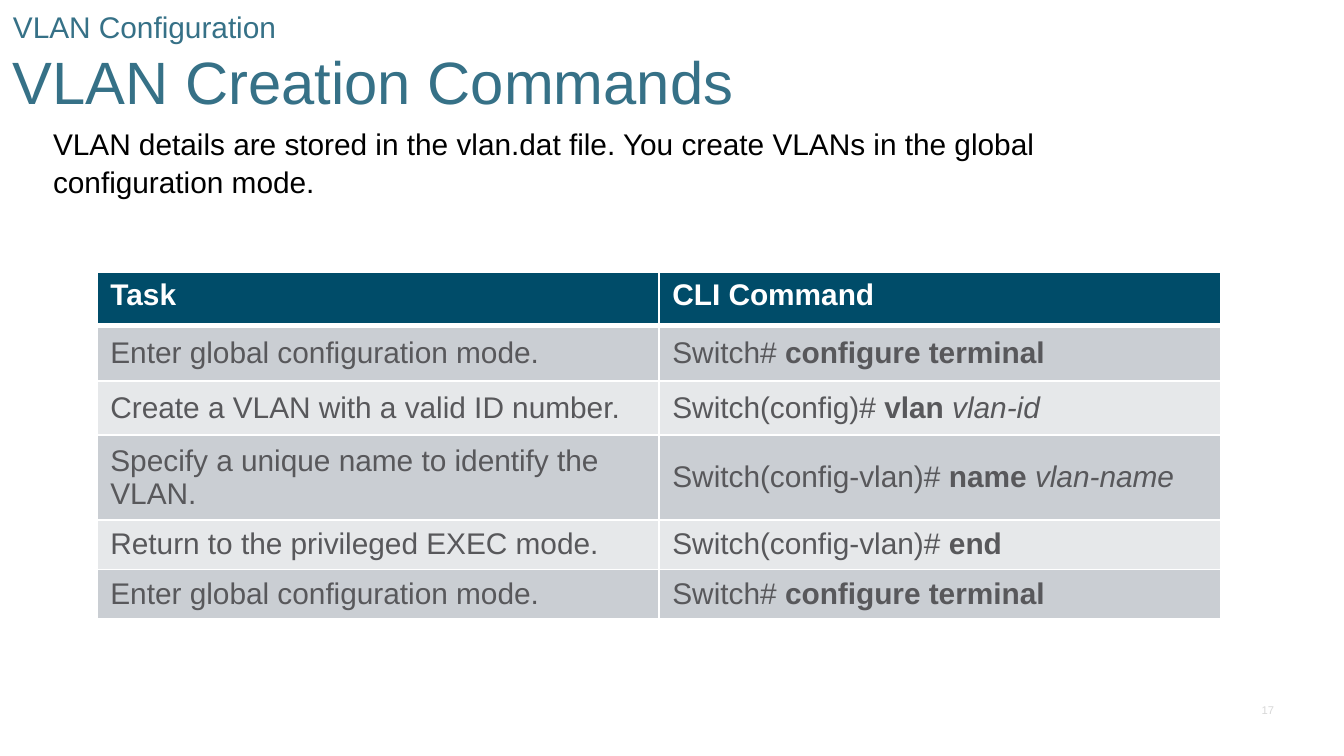
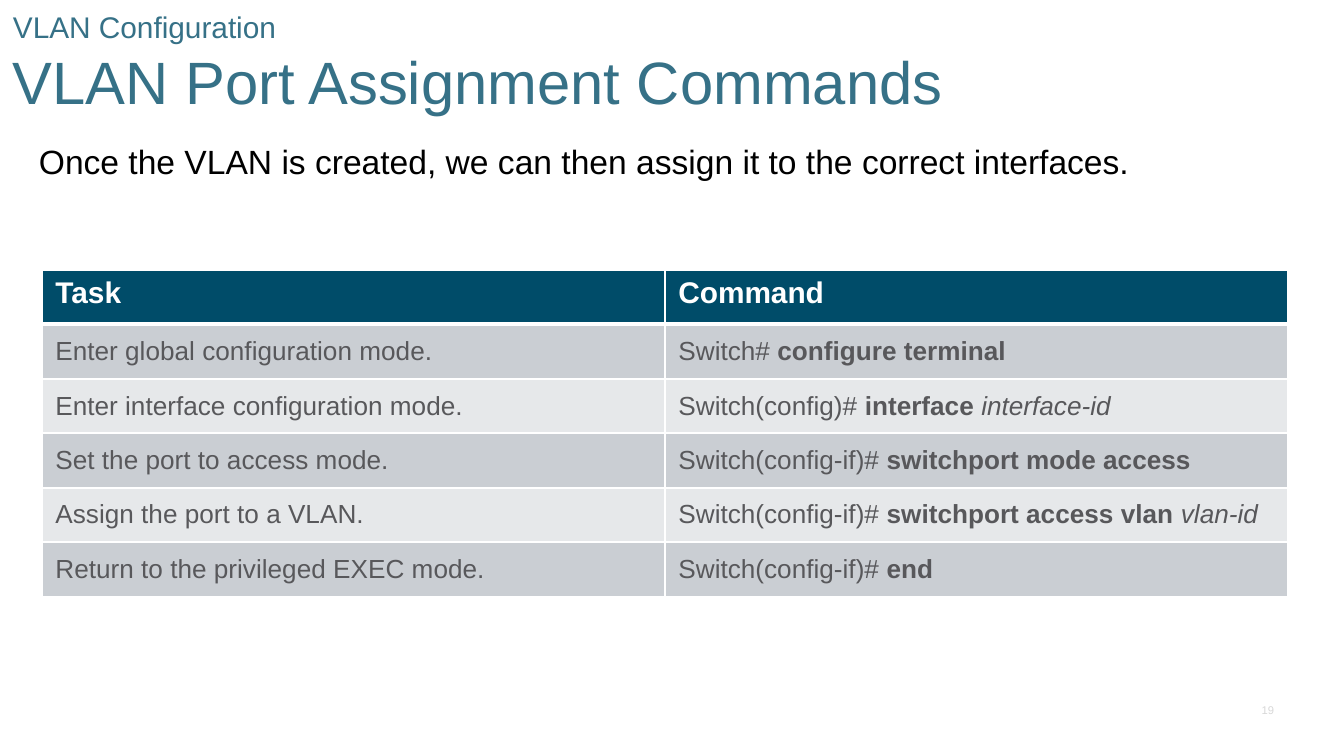
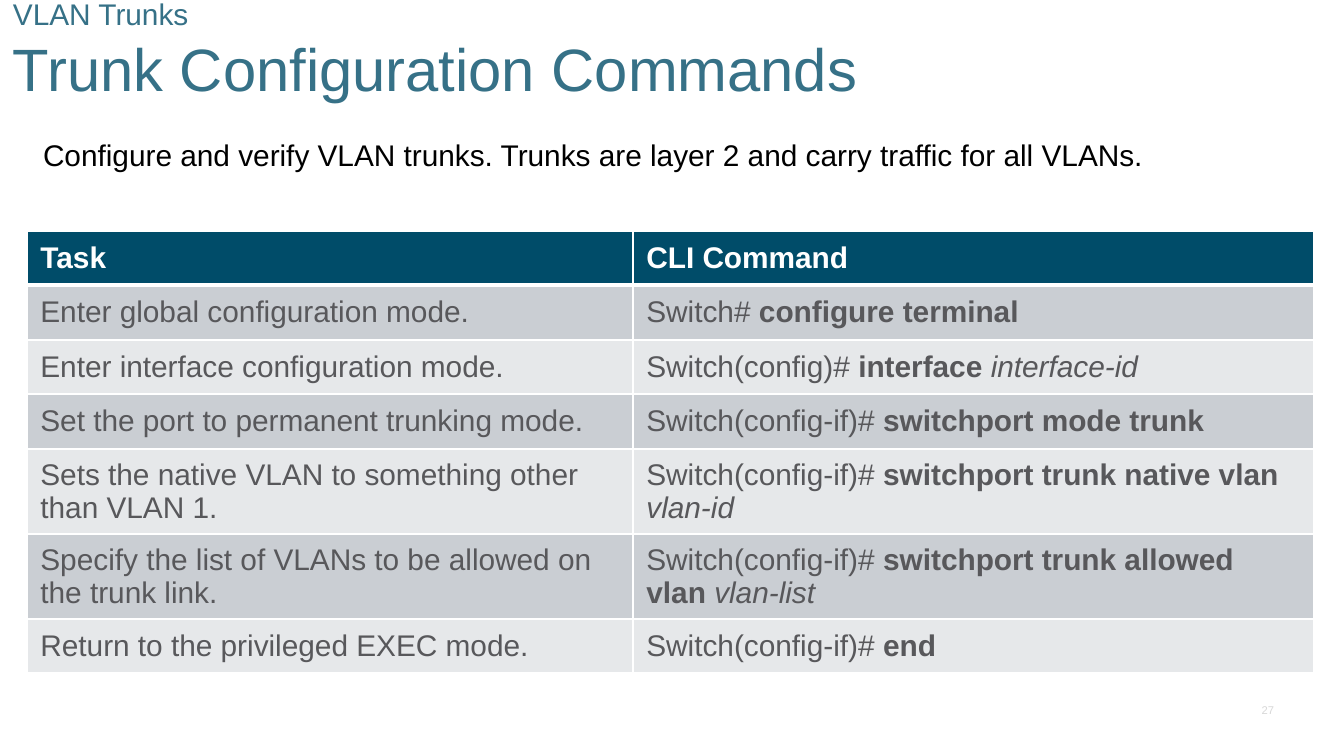
from copy import deepcopy
from dataclasses import dataclass

from lxml.etree import fromstring
from pptx import Presentation
from pptx.dml.color import RGBColor
from pptx.enum.text import MSO_ANCHOR, PP_ALIGN
from pptx.util import Emu, Pt

WIDE, HIGH = 1344, 756
NS = "http://schemas.openxmlformats.org/drawingml/2006/main"


@dataclass(frozen=True)
class Theme:
    face: str = "Arial"
    title: str = "367187"
    text: str = "000000"
    cell: str = "58585B"
    head: str = "004C69"
    white: str = "FFFFFF"
    page: str = "D8D8D8"
    bands: tuple = ("CACED3", "E6E8EA")
    small: int = 6
    label: int = 16
    large: int = 32


LOOK = Theme()


def px(n):
    return Emu(round(n * 9144000 / WIDE))


def put(item, **values):
    """Set each named value on the item."""
    for name, value in values.items():
        setattr(item, name, value)


def write(para, text, size, color, **style):
    run = para.add_run()
    run.text = text
    put(run.font, name=LOOK.face, size=Pt(size), **style)
    run.font.color.rgb = RGBColor.from_string(color)
    return run


def add_box(slide, box, pads, anchor=MSO_ANCHOR.TOP):
    """Add a text box and return its first paragraph."""
    frame = slide.shapes.add_textbox(*map(px, box)).text_frame
    left, top, right, base = map(px, pads)
    put(frame, word_wrap=True, vertical_anchor=anchor, margin_left=left,
        margin_top=top, margin_right=right, margin_bottom=base)
    return frame.paragraphs[0]


# Title: topic on the first line, name on the second
def add_title(slide, box, topic, name):
    para = add_box(slide, box, (13, 7, 13, 7), MSO_ANCHOR.MIDDLE)
    run = write(para, topic, LOOK.label, LOOK.title)
    para.add_line_break()
    para._p[-1].append(deepcopy(run._r.rPr))
    write(para, name, LOOK.large, LOOK.title)


# Lead sentence under the title
def add_lead(slide, box, text, size, indent):
    para = add_box(slide, box, (13 + indent, 7, 27, 7))
    para.line_spacing = 1.05
    write(para, text, size, LOOK.text)


# Page number
def add_page(slide, number):
    para = add_box(slide, (1251, 698, 32, 23), (9, 4, 9, 4), MSO_ANCHOR.BOTTOM)
    para.alignment = PP_ALIGN.RIGHT
    write(para, str(number), LOOK.small, LOOK.page)


def edge(cell, **widths):
    """Draw white cell borders, widths in points."""
    props = cell._tc.get_or_add_tcPr()
    for spot, side in enumerate("LRTB"):
        props.insert(spot, fromstring(
            f'<a:ln{side} xmlns:a="{NS}" w="{Pt(widths.get(side, 1))}"><a:solidFill>'
            f'<a:srgbClr val="{LOOK.white}"/></a:solidFill></a:ln{side}>'))


def fill_cell(cell, runs, color, fill, size, anchor, **widths):
    """Fill a cell; its runs are plain, bold and italic in turn."""
    cell.fill.solid()
    cell.fill.fore_color.rgb = RGBColor.from_string(fill)
    cell.vertical_anchor = anchor
    edge(cell, **widths)
    para = cell.text_frame.paragraphs[0]
    for text, (bold, slant) in zip(runs, ((False, False), (True, False), (False, True))):
        write(para, text, size, color, bold=bold or color == LOOK.white, italic=slant)


# Table of tasks and commands
def add_grid(slide, spot, cols, highs, head, tasks, size, anchor):
    shape = slide.shapes.add_table(len(highs), len(cols), *map(px, (*spot, sum(cols), sum(highs))))
    grid = shape.table
    for col, width in zip(grid.columns, cols):
        col.width = px(width)
    for row, height in zip(grid.rows, highs):
        row.height = px(height)
    for cell, text in zip(grid.rows[0].cells, ("Task", head)):
        fill_cell(cell, [text], LOOK.white, LOOK.head, LOOK.label, anchor, B=3)
    for i, (task, *code) in enumerate(tasks):
        for cell, runs in zip(grid.rows[i + 1].cells, ([task], code)):
            fill_cell(cell, runs, LOOK.cell, LOOK.bands[i % 2], size,
                      MSO_ANCHOR.MIDDLE, T=1 if i else 3)


START = ("Enter global configuration mode.", "Switch# ", "configure terminal")
ENTER = ("Enter interface configuration mode.", "Switch(config)# ", "interface ", "interface-id")
LEAVE = "Return to the privileged EXEC mode."
PORT = "Switch(config-if)# "
VLAN = "Switch(config-vlan)# "
TOP, MID = MSO_ANCHOR.TOP, MSO_ANCHOR.MIDDLE

PAGES = [
    dict(
        page=17,
        title=((0, 7, WIDE, 111), "VLAN Configuration", "VLAN Creation Commands"),
        lead=((19, 117, 1201, 101), "VLAN details are stored in the vlan.dat file. "
              "You create VLANs in the global configuration mode.", 16, 21),
        grid=((97, 272), (562, 562), [54, 55] * 2 + [27] * 2, "CLI Command", [
            START,
            ("Create a VLAN with a valid ID number.", "Switch(config)# ", "vlan ", "vlan-id"),
            ("Specify a unique name to identify the VLAN.", VLAN, "name ", "vlan-name"),
            (LEAVE, VLAN, "end"),
            START,
        ], 16, TOP)),
    dict(
        page=19,
        title=((0, 7, WIDE, 111), "VLAN Configuration", "VLAN Port Assignment Commands"),
        lead=((26, 132, 1262, 87), "Once the VLAN is created, "
              "we can then assign it to the correct interfaces.", 18, 0),
        grid=((42, 270), (623, 623), [54, 55] * 3, "Command", [
            START,
            ENTER,
            ("Set the port to access mode.", PORT, "switchport mode access"),
            ("Assign the port to a VLAN.", PORT, "switchport access vlan ", "vlan-id"),
            (LEAVE, PORT, "end"),
        ], 14, TOP)),
    dict(
        page=27,
        title=((0, 0, WIDE, 99), "VLAN Trunks", "Trunk Configuration Commands"),
        lead=((30, 128, 1294, 83), "Configure and verify VLAN trunks. "
              "Trunks are layer 2 and carry traffic for all VLANs.", 16, 0),
        grid=((27, 231), (606, 681), [54, 55] * 3 + [54], "CLI Command", [
            START,
            ENTER,
            ("Set the port to permanent trunking mode.", PORT, "switchport mode trunk"),
            ("Sets the native VLAN to something other than VLAN 1.", PORT,
             "switchport trunk native vlan ", "vlan-id"),
            ("Specify the list of VLANs to be allowed on the trunk link.", PORT,
             "switchport trunk allowed vlan ", "vlan-list"),
            (LEAVE, PORT, "end"),
        ], 16, MID)),
]


def main():
    deck = Presentation()
    put(deck, slide_width=px(WIDE), slide_height=px(HIGH))
    for page in PAGES:
        slide = deck.slides.add_slide(deck.slide_layouts[6])
        add_page(slide, page["page"])
        add_title(slide, *page["title"])
        add_lead(slide, *page["lead"])
        add_grid(slide, *page["grid"])
    deck.save("out.pptx")


if __name__ == "__main__":
    main()
